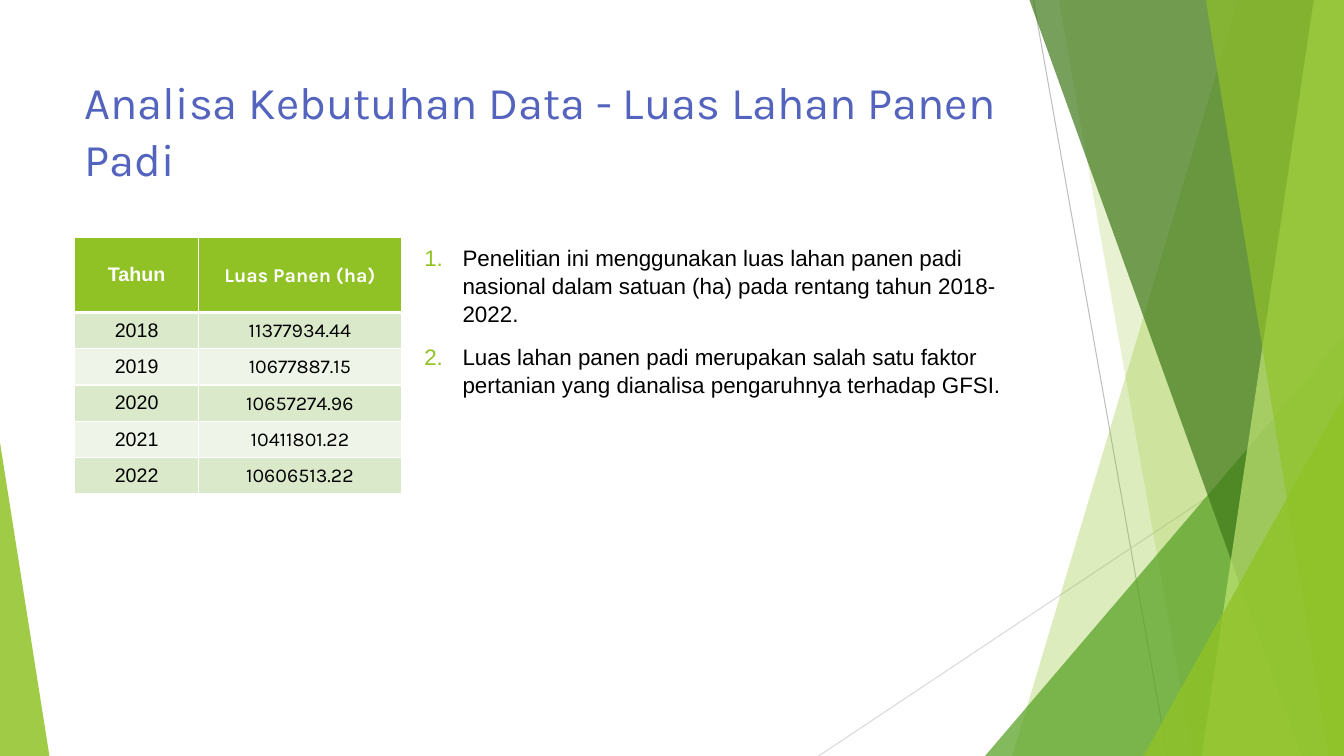
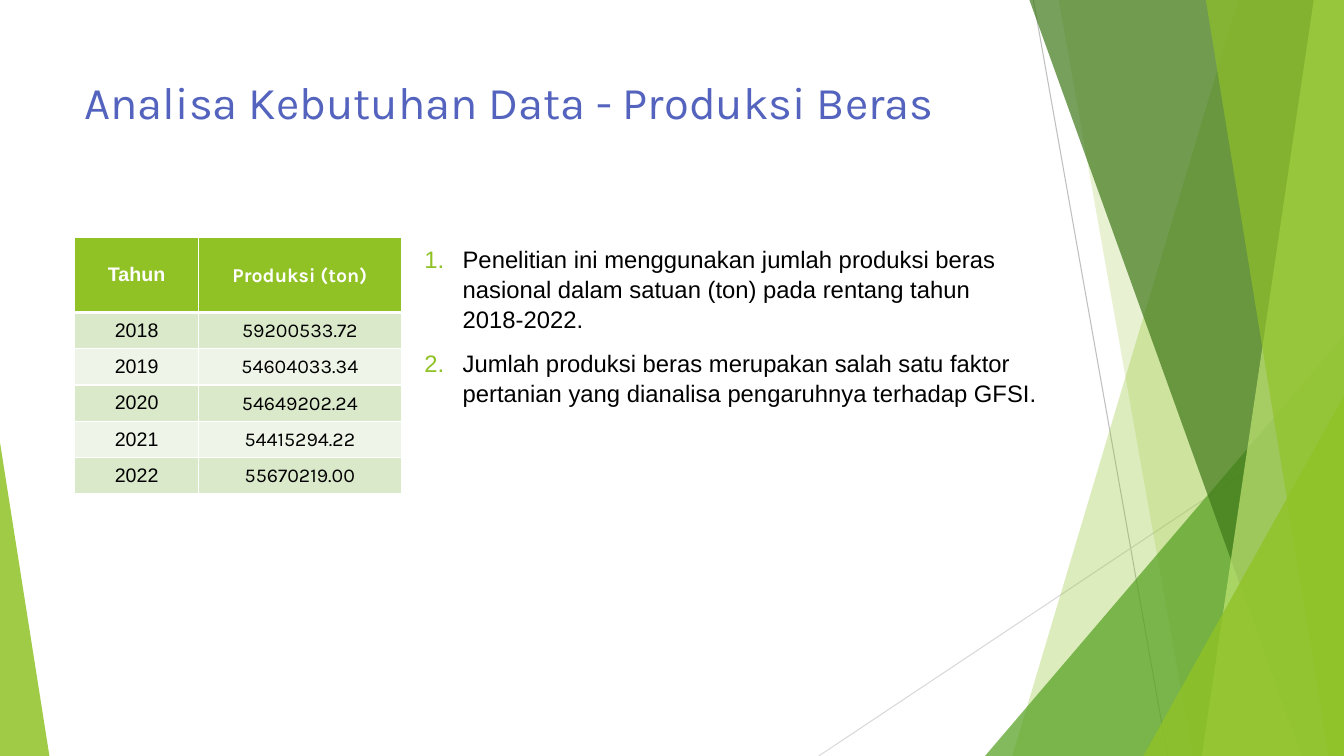
from dataclasses import dataclass

from lxml.etree import SubElement
from pptx import Presentation
from pptx.dml.color import RGBColor
from pptx.enum.shapes import MSO_CONNECTOR, MSO_SHAPE
from pptx.enum.text import MSO_ANCHOR, PP_ALIGN
from pptx.oxml.ns import qn
from pptx.util import Inches, Pt

WIDTH, HEIGHT = 13.33, 7.5
LEFT, CONTENT_TOP, TEXT_LEFT = 0.74, 2.36, 4.11
COLUMN_WIDTHS = (1.23, 2.01)
HEADER_HEIGHT, ROW_HEIGHT = 0.74, 0.36
YEARS = ("2018", "2019", "2020", "2021", "2022")


@dataclass(frozen=True)
class Theme:
    lime: str = "90C226"
    pale_lime: str = "C0E474"
    green: str = "54A021"
    dark_green: str = "3F7819"
    title: str = "5464BE"
    text: str = "000000"
    white: str = "FFFFFF"
    row_odd: str = "DBE9CB"
    row_even: str = "EEF4E7"
    line: str = "BFBFBF"
    pale_line: str = "D9D9D9"
    display_font: str = "Karla"
    body_font: str = "Arial"
    title_size: float = 32.4
    table_size: float = 14


THEME = Theme()


@dataclass(frozen=True)
class Ray:
    start: tuple[float, float]
    end: tuple[float, float]
    color: str


@dataclass(frozen=True)
class Band:
    """Area from a slanted left edge to the right side of the slide."""
    top_x: float
    bottom_x: float
    color: str
    opacity: int


@dataclass(frozen=True)
class Peak:
    """Right triangle standing on the bottom edge of the slide."""
    left: float
    top: float
    width: float
    apex: float
    color: str
    opacity: int


@dataclass(frozen=True)
class Topic:
    title: str
    measure: str
    values: tuple[str, ...]
    points: tuple[str, ...]
    text_width: float
    text_size: float


RAYS = (
    Ray((10.25, 0), (11.58, HEIGHT), THEME.line),
    Ray((WIDTH, 4.03), (8.12, HEIGHT), THEME.pale_line),
)

FACETS = (
    Band(12.28, 10.04, THEME.lime, 30),
    Band(10.5, 11.83, THEME.lime, 20),
    Peak(9.77, 3.33, 3.56, 1, THEME.green, 72),
    Band(10.21, 12.91, THEME.dark_green, 70),
    Band(13.03, 11.92, THEME.pale_lime, 70),
    Band(11.96, 13.18, THEME.lime, 65),
    Peak(11.34, 3.93, 1.99, 1, THEME.lime, 80),
    Peak(0, 4.39, 0.49, 0, THEME.lime, 85),
)

TOPICS = (
    Topic(
        "Analisa Kebutuhan Data - Luas Lahan Panen Padi",
        "Luas Panen (ha)",
        ("11377934.44", "10677887.15", "10657274.96", "10411801.22", "10606513.22"),
        (
            "Penelitian ini menggunakan luas lahan panen padi nasional "
            "dalam satuan (ha) pada rentang tahun 2018-2022.",
            "Luas lahan panen padi merupakan salah satu faktor pertanian "
            "yang dianalisa pengaruhnya terhadap GFSI.",
        ),
        6.03, 16,
    ),
    Topic(
        "Analisa Kebutuhan Data - Produksi Beras",
        "Produksi (ton)",
        ("59200533.72", "54604033.34", "54649202.24", "54415294.22", "55670219.00"),
        (
            "Penelitian ini menggunakan jumlah produksi beras nasional "
            "dalam satuan (ton) pada rentang tahun 2018-2022.",
            "Jumlah produksi beras merupakan salah satu faktor pertanian "
            "yang dianalisa pengaruhnya terhadap GFSI.",
        ),
        6.28, 17,
    ),
)


def rgb(color: str) -> RGBColor:
    return RGBColor.from_string(color)


def write(p, text: str, *, size: float, font: str, color: str = THEME.text,
          bold: bool = False, align=PP_ALIGN.LEFT, spacing: float = 1.0) -> None:
    p.alignment = align
    p.line_spacing = spacing
    r = p.add_run()
    r.text = text
    r.font.size = Pt(size)
    r.font.name = font
    r.font.bold = bold
    r.font.color.rgb = rgb(color)


def number(p) -> None:
    """Give a paragraph a hanging, coloured list number."""
    pPr = p._p.get_or_add_pPr()
    indent = Inches(0.38)
    pPr.set("marL", str(indent))
    pPr.set("indent", str(-indent))
    color = SubElement(pPr, qn("a:buClr"))
    SubElement(color, qn("a:srgbClr"), val=THEME.lime)
    SubElement(pPr, qn("a:buFont"), typeface=THEME.body_font)
    SubElement(pPr, qn("a:buAutoNum"), type="arabicPeriod")


def paint(sp, color: str, opacity: int) -> None:
    sp.shadow.inherit = False
    sp.line.fill.background()
    sp.fill.solid()
    sp.fill.fore_color.rgb = rgb(color)
    clr = sp._element.spPr.find(f"{qn('a:solidFill')}/{qn('a:srgbClr')}")
    SubElement(clr, qn("a:alpha"), val=str(opacity * 1000))


def add_ray(s, ray: Ray) -> None:
    line = s.shapes.add_connector(
        MSO_CONNECTOR.STRAIGHT, *(Inches(v) for v in ray.start + ray.end))
    line.line.color.rgb = rgb(ray.color)
    line.line.width = Pt(0.75)
    SubElement(line._element.spPr, qn("a:effectLst"))


def add_band(s, band: Band) -> None:
    corners = [(Inches(x), Inches(y)) for x, y in (
        (band.top_x, 0), (WIDTH, 0), (WIDTH, HEIGHT), (band.bottom_x, HEIGHT))]
    outline = s.shapes.build_freeform(*corners[0])
    outline.add_line_segments(corners[1:], close=True)
    paint(outline.convert_to_shape(), band.color, band.opacity)


def add_peak(s, peak: Peak) -> None:
    sp = s.shapes.add_shape(
        MSO_SHAPE.ISOSCELES_TRIANGLE, Inches(peak.left), Inches(peak.top),
        Inches(peak.width), Inches(HEIGHT - peak.top))
    sp.adjustments[0] = peak.apex
    paint(sp, peak.color, peak.opacity)


def add_backdrop(s) -> None:
    for ray in RAYS:
        add_ray(s, ray)
    for facet in FACETS:
        if isinstance(facet, Band):
            add_band(s, facet)
        else:
            add_peak(s, facet)


def add_text_frame(s, left: float, top: float, width: float, height: float):
    tf = s.shapes.add_textbox(
        Inches(left), Inches(top), Inches(width), Inches(height)).text_frame
    tf.word_wrap = True
    return tf


def add_title(s, title: str) -> None:
    tf = add_text_frame(s, LEFT, 0.67, 9.4, 1.44)
    write(tf.paragraphs[0], title, size=THEME.title_size,
          font=THEME.display_font, color=THEME.title, spacing=1.04)


def add_points(s, topic: Topic) -> None:
    tf = add_text_frame(s, TEXT_LEFT, CONTENT_TOP, topic.text_width, 3.43)
    for i, point in enumerate(topic.points):
        p = tf.paragraphs[0] if i == 0 else tf.add_paragraph()
        number(p)
        if i:
            p.space_before = Pt(10)
        write(p, point, size=topic.text_size, font=THEME.body_font, spacing=1.05)


def set_borders(cell, top: float, bottom: float) -> None:
    tcPr = cell._tc.get_or_add_tcPr()
    for side, width in (("L", 1), ("R", 1), ("T", top), ("B", bottom)):
        ln = SubElement(tcPr, qn(f"a:ln{side}"), w=str(Pt(width)))
        fill = SubElement(ln, qn("a:solidFill"))
        SubElement(fill, qn("a:srgbClr"), val=THEME.white)


def format_cell(cell, text: str, row: int, col: int) -> None:
    header = row == 0
    set_borders(cell, 3 if row == 1 else 1, 3 if header else 1)
    cell.fill.solid()
    cell.fill.fore_color.rgb = rgb(
        THEME.lime if header else THEME.row_odd if row % 2 else THEME.row_even)
    cell.vertical_anchor = MSO_ANCHOR.MIDDLE
    if col:
        cell.margin_left = cell.margin_right = cell.margin_top = Inches(0.01)
        cell.margin_bottom = 0
    write(cell.text_frame.paragraphs[0], text, size=THEME.table_size,
          font=THEME.display_font if col else THEME.body_font,
          color=THEME.white if header else THEME.text,
          bold=header, align=PP_ALIGN.CENTER)


def add_data_table(s, topic: Topic) -> None:
    rows = [("Tahun", topic.measure), *zip(YEARS, topic.values)]
    height = HEADER_HEIGHT + ROW_HEIGHT * len(YEARS)
    table = s.shapes.add_table(
        len(rows), len(COLUMN_WIDTHS), Inches(LEFT), Inches(CONTENT_TOP),
        Inches(sum(COLUMN_WIDTHS)), Inches(height)).table
    table.first_row = table.horz_banding = False
    for column, width in zip(table.columns, COLUMN_WIDTHS):
        column.width = Inches(width)
    for i, row in enumerate(rows):
        table.rows[i].height = Inches(ROW_HEIGHT if i else HEADER_HEIGHT)
        for j, text in enumerate(row):
            format_cell(table.cell(i, j), text, i, j)


def main() -> None:
    prs = Presentation()
    prs.slide_width, prs.slide_height = Inches(WIDTH), Inches(HEIGHT)
    for topic in TOPICS:
        s = prs.slides.add_slide(prs.slide_layouts[6])
        add_backdrop(s)
        add_title(s, topic.title)
        add_points(s, topic)
        add_data_table(s, topic)
    prs.save("out.pptx")


if __name__ == "__main__":
    main()
